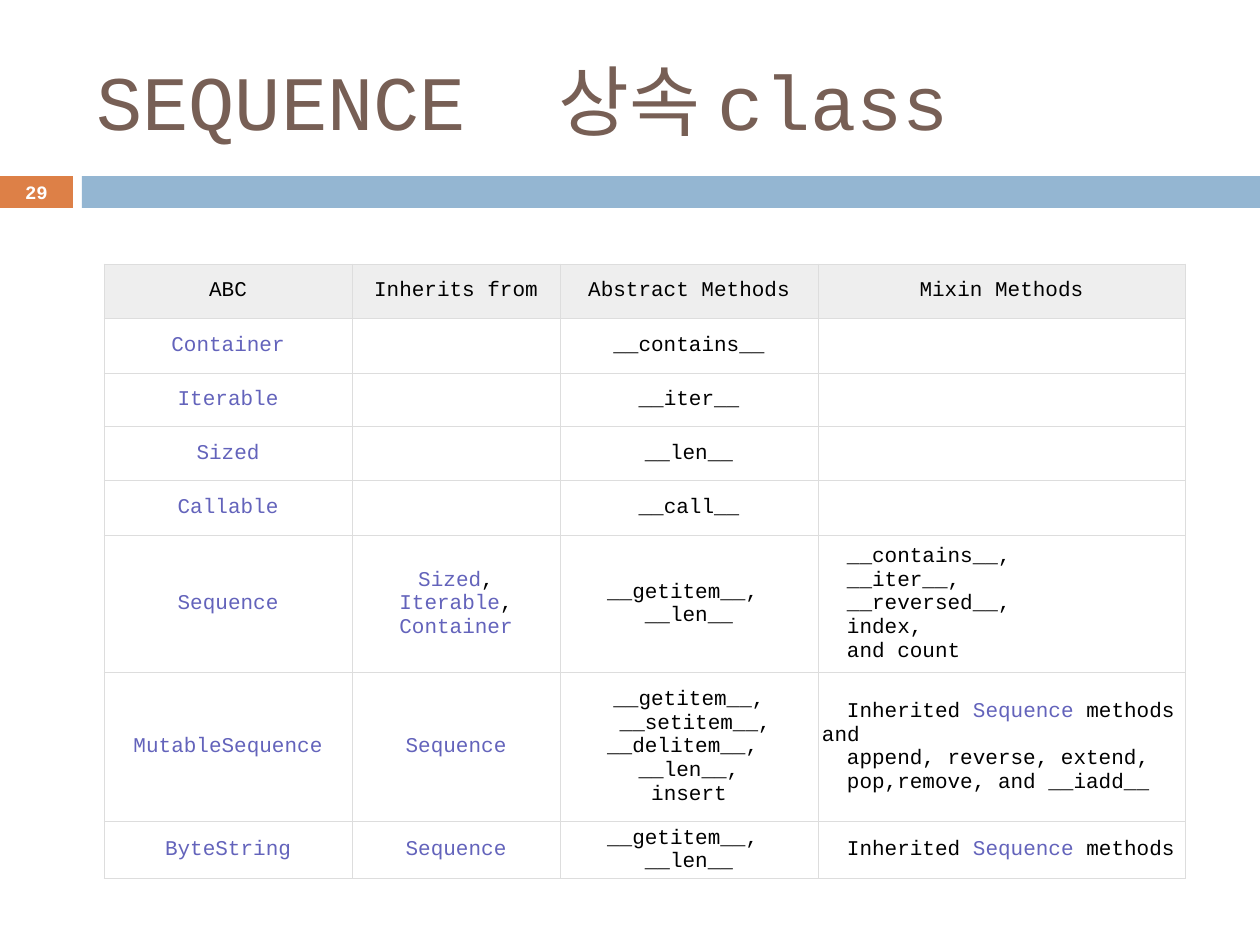
from pptx import Presentation
from pptx.dml.color import RGBColor
from pptx.enum.shapes import MSO_SHAPE
from pptx.enum.text import MSO_ANCHOR, PP_ALIGN
from pptx.oxml import parse_xml
from pptx.oxml.ns import nsdecls
from pptx.util import Pt

PX = 914400 / 126
FONT = "Courier New"
RECT = MSO_SHAPE.RECTANGLE
MIDDLE = MSO_ANCHOR.MIDDLE
LEFT, CENTER = PP_ALIGN.LEFT, PP_ALIGN.CENTER
ORANGE = RGBColor(0xDD, 0x80, 0x47)
BLUE = RGBColor(0x94, 0xB6, 0xD2)
BROWN = RGBColor(0x77, 0x5F, 0x55)
WHITE = RGBColor(0xFF, 0xFF, 0xFF)
BLACK = RGBColor(0, 0, 0)
GREY = RGBColor(0xEE, 0xEE, 0xEE)
LINK = RGBColor(0x63, 0x63, 0xBB)
EDGE = RGBColor(0xDD, 0xDD, 0xDD)

COLS = [248, 208, 258, 367]
ROWS = [54, 55, 54, 54, 55, 137, 149, 57]
CELLS = [
    ["ABC", "Inherits from", "Abstract Methods", "Mixin Methods"],
    ["|Container|", "", "__contains__", ""],
    ["|Iterable|", "", "__iter__", ""],
    ["|Sized|", "", "__len__", ""],
    ["|Callable|", "", "__call__", ""],
    ["|Sequence|", "|Sized|,\n|Iterable|,\n|Container|", "__getitem__, \n__len__",
     "__contains__,\n__iter__,\n__reversed__,\nindex,\nand count"],
    ["|MutableSequence|", "|Sequence|",
     "__getitem__,\n __setitem__,\n__delitem__, \n__len__,\ninsert",
     "Inherited |Sequence |methods and\nappend, reverse, extend,\n"
     "pop,remove, and __iadd__"],
    ["|ByteString|", "|Sequence|", "__getitem__, \n__len__",
     "Inherited |Sequence |methods"],
]


def emu(px):
    """Turn px into EMU."""
    return round(px * PX)


class Deck:
    """Hold the style and the current slide."""

    def __init__(self, wide, high):
        """Start a deck with one blank slide."""
        self.deck = Presentation()
        self.deck.slide_width, self.deck.slide_height = emu(wide), emu(high)
        self.slide = self.deck.slides.add_slide(self.deck.slide_layouts[6])

    def style(self, para, size, color, align=LEFT, bold=False):
        """Set the font and alignment of a paragraph."""
        font = para.font
        font.name, font.size, font.bold = FONT, Pt(size), bold
        font.color.rgb = color
        para.alignment = align

    def bar(self, box, color):
        """Add a plain filled bar."""
        shape = self.slide.shapes.add_shape(RECT, *map(emu, box))
        shape.shadow.inherit = False
        shape.fill.solid()
        shape.fill.fore_color.rgb = color
        shape.line.fill.background()

    def text(self, box, words, size, color, align=LEFT, bold=False):
        """Add a line of text, centred in height."""
        frame = self.slide.shapes.add_textbox(*map(emu, box)).text_frame
        frame.word_wrap = True
        frame.vertical_anchor = MIDDLE
        frame.text = words
        self.style(frame.paragraphs[0], size, color, align, bold)

    def border(self, cell):
        """Draw the four edges of a cell."""
        props = cell._tc.get_or_add_tcPr()
        for at, side in enumerate(("lnL", "lnR", "lnT", "lnB")):
            props.insert(at, parse_xml(
                f'<a:{side} {nsdecls("a")} w="7620"><a:solidFill>'
                f'<a:srgbClr val="{EDGE}"/></a:solidFill></a:{side}>'))

    def cell(self, cell, words, fill, align):
        """Fill a cell, with the text between bars in link colour."""
        cell.fill.solid()
        cell.fill.fore_color.rgb = fill
        cell.vertical_anchor = MIDDLE
        cell.margin_left = cell.margin_right = emu(4)
        cell.margin_top = cell.margin_bottom = emu(1)
        frame = cell.text_frame
        for at, line in enumerate(words.split("\n")):
            para = frame.add_paragraph() if at else frame.paragraphs[0]
            self.style(para, 12, BLACK, align)
            if align == LEFT:
                props = para._p.get_or_add_pPr()
                props.set("marL", "0")
                props.set("indent", str(emu(25)))
            for part, piece in enumerate(line.split("|")):
                if piece:
                    run = para.add_run()
                    run.text = piece
                    if part % 2:
                        run.font.color.rgb = LINK
        self.border(cell)

    def table(self, left, top, cols, rows, cells):
        """Add a table with a grey head row."""
        box = map(emu, (left, top, sum(cols), sum(rows)))
        table = self.slide.shapes.add_table(len(rows), len(cols), *box).table
        table.first_row = table.horz_banding = False
        for col, wide in zip(table.columns, cols):
            col.width = emu(wide)
        for row, high in zip(table.rows, rows):
            row.height = emu(high)
        last = len(cols) - 1
        for y, line in enumerate(cells):
            for x, words in enumerate(line):
                align = LEFT if y and x == last else CENTER
                self.cell(table.cell(y, x), words, WHITE if y else GREY, align)


def main():
    """Build the slide and save it."""
    deck = Deck(1260, 945)
    deck.bar((0, 176, 73, 32), ORANGE)
    deck.bar((82, 176, 1178, 32), BLUE)
    deck.text((84, 32, 1124, 136), "SEQUENCE  상속 class", 44, BROWN)
    deck.text((0, 175, 73, 34), "29", 10.8, WHITE, CENTER, True)
    deck.table(104, 264, COLS, ROWS, CELLS)
    deck.deck.save("out.pptx")


if __name__ == "__main__":
    main()
